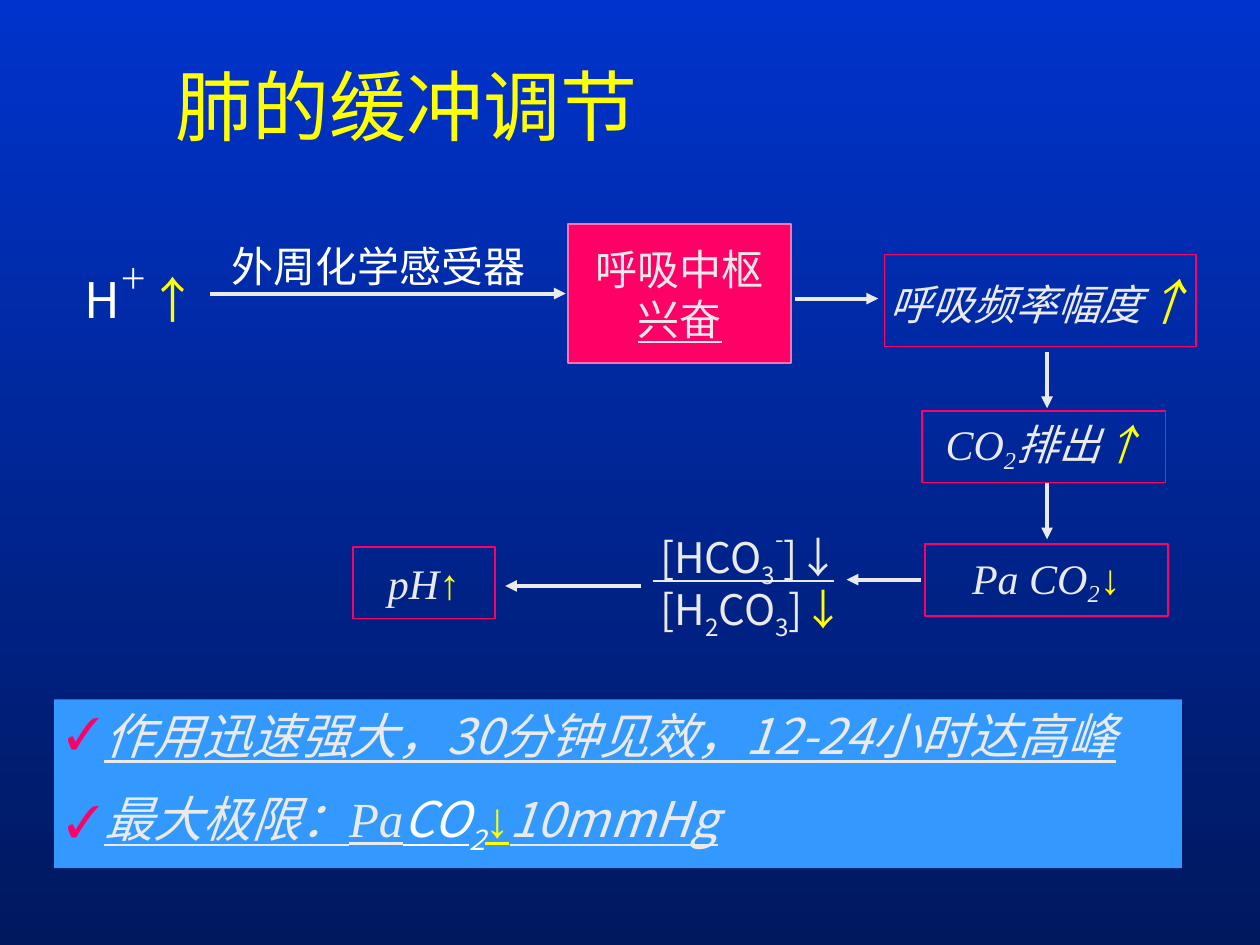
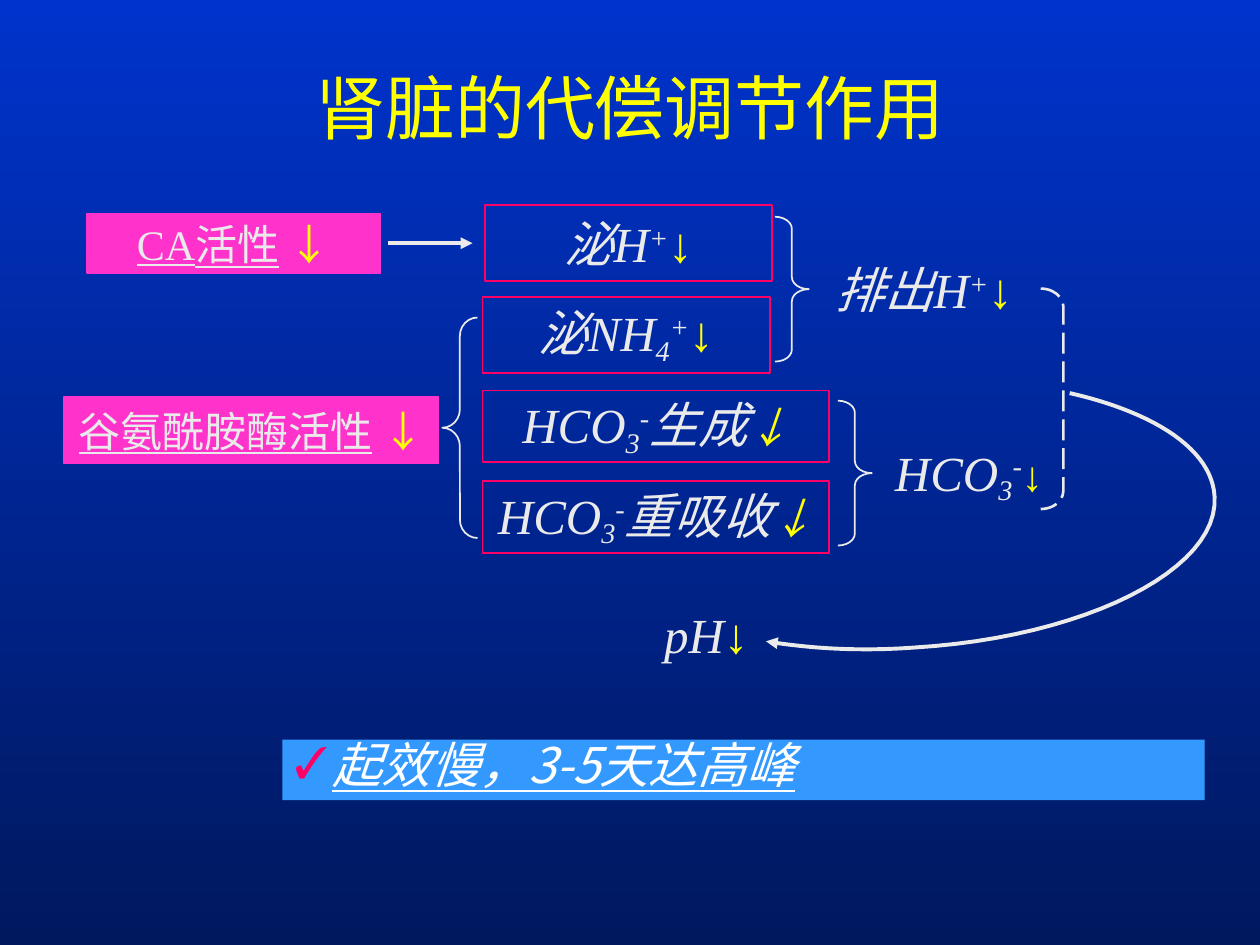
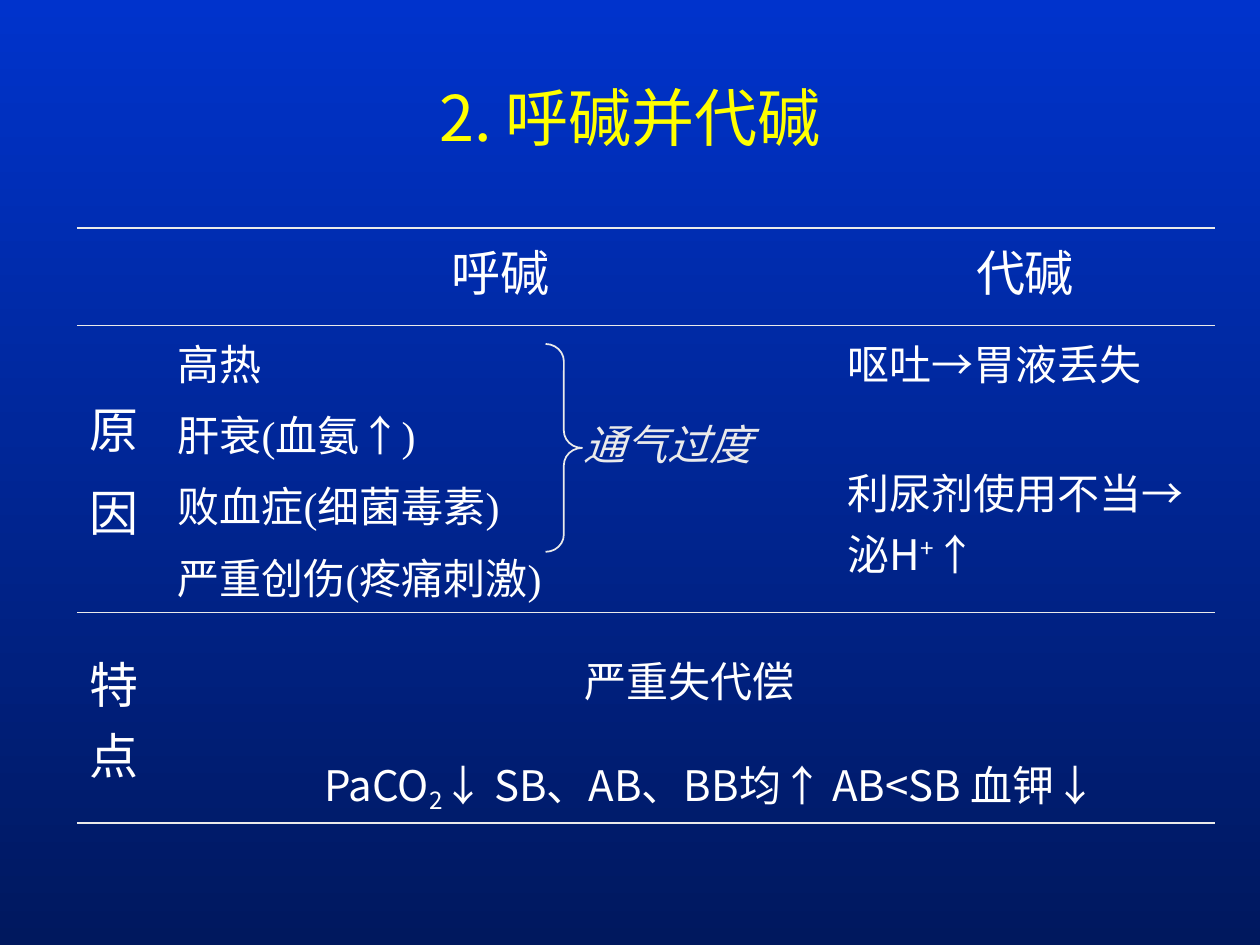
from lxml.etree import SubElement
from pptx import Presentation
from pptx.dml.color import RGBColor
from pptx.enum.dml import MSO_LINE
from pptx.enum.shapes import MSO_CONNECTOR, MSO_SHAPE
from pptx.enum.text import MSO_ANCHOR, PP_ALIGN
from pptx.oxml.ns import qn
from pptx.util import Pt

PX = 9144  # 100 px to the inch
TIMES, NOTO = "Times New Roman", "Noto Sans CJK SC"
YELLOW, PALE, WHITE = "FFFF00", "EAEAEA", "FFFFFF"
RED, ROSE, MAGENTA, SKY = "FF0066", "FF73AC", "FF33CC", "3399FF"
PLAIN_TABLE_STYLE = "{2D5ABB26-0587-4C30-8999-92F81FD0307C}"

hexa = RGBColor.from_string
LEFT, CENTER = PP_ALIGN.LEFT, PP_ALIGN.CENTER
SUB, LOW, SUP, HIGH = ({"base": percent} for percent in (-20, -25, 30, 60))
UP, DOWN = (("↑", {"color": YELLOW}), ("↓", {"color": YELLOW}))
SMALL_DOWN = ("↓", {"color": YELLOW, "size": 24})
LOOK = {"size": 24, "face": TIMES, "color": PALE, "italic": False, "under": False, "base": 0}


def write(frame, lines, align=CENTER, spacing=1.0, before=0, bullet=False, indent=0, **look):
    """Fill a frame with lines of spans; a span is a text or (text, changes to the look).

    The space before and the indent apply from the second line on.
    """
    for number, line in enumerate(lines):
        para = frame.add_paragraph() if number else frame.paragraphs[0]
        properties = para._p.get_or_add_pPr()
        if bullet:
            properties.set("marL", str(30 * PX))
            properties.set("indent", str(-30 * PX))
            SubElement(SubElement(properties, qn("a:buClr")), qn("a:srgbClr"), val=RED)
            SubElement(properties, qn("a:buSzPct"), val="90000")
            SubElement(properties, qn("a:buFont"), typeface=TIMES)
            SubElement(properties, qn("a:buChar"), char="✓")
        elif number and indent:
            properties.set("marL", str(indent * PX))
        para.alignment = align
        para.line_spacing = spacing
        if number and before:
            para.space_before = Pt(before)
        for span in line:
            text, changes = span if isinstance(span, tuple) else (span, {})
            style = LOOK | look | changes
            run = para.add_run()
            run.text = text
            run.font.size = Pt(style["size"])
            run.font.italic = style["italic"]
            run.font.underline = style["under"]
            run.font.color.rgb = hexa(style["color"])
            run.font.name = style["face"]
            run_properties = run._r.get_or_add_rPr()
            SubElement(run_properties, qn("a:ea"), typeface=NOTO)
            if style["base"]:
                run_properties.set("baseline", str(style["base"] * 1000))


def outline(shape, color, width, arrow=False):
    shape.line.color.rgb = hexa(color)
    shape.line.width = Pt(width)
    if arrow:
        SubElement(shape.line._get_or_add_ln(), qn("a:tailEnd"), type="triangle")


deck = Presentation()
deck.slide_width, deck.slide_height = 1000 * PX, 750 * PX

backdrop = deck.slide_master.background.fill
backdrop.gradient()
backdrop.gradient_angle = 270
for stop, color in zip(backdrop.gradient_stops, ("0033CC", "00185E")):
    stop.color.rgb = hexa(color)

# Titles
titles = [
    ("肺的缓冲调节", (83, 42, 479, 83), 44, TIMES),
    ("肾脏的代偿调节作用", (75, 22, 850, 125), 40, TIMES),
    ("2. 呼碱并代碱", (50, 30, 900, 125), 36, NOTO),
]
pages = []
for text, place, size, face in titles:
    page = deck.slides.add_slide(deck.slide_layouts[6])
    box = page.shapes.add_textbox(*(length * PX for length in place))
    box.text_frame.word_wrap = True
    box.text_frame.vertical_anchor = MSO_ANCHOR.MIDDLE
    write(box.text_frame, [[text]], size=size, face=face, color=YELLOW)
    pages.append(page)
lung, kidney, alkalosis = pages

# Table of causes and features
row_heights = (77, 228, 167)
table = alkalosis.shapes.add_table(
    3, 3, 61 * PX, 181 * PX, 903 * PX, sum(row_heights) * PX).table
table._tbl.tblPr.find(qn("a:tableStyleId")).text = PLAIN_TABLE_STYLE
table.first_row = table.horz_banding = False
for column, width in zip(table.columns, (70, 532, 301)):
    column.width = width * PX
for row, height in zip(table.rows, row_heights):
    row.height = height * PX
table.cell(2, 1).merge(table.cell(2, 2))

rules = (1.08, 0.45, 0.45, 1.08)
for row_number, row in enumerate(table.rows):
    for cell in row.cells:
        cell.fill.background()
        cell_properties = cell._tc.get_or_add_tcPr()
        for position, side in enumerate(("lnT", "lnB")):
            edge = SubElement(cell_properties, qn("a:" + side),
                              w=str(Pt(rules[row_number + position])))
            SubElement(SubElement(edge, qn("a:solidFill")), qn("a:srgbClr"), val=PALE)
            cell_properties.insert(position, edge)

heading = {"size": 28, "before": 7}
cells = [
    (0, 1, [["呼碱"]], heading),
    (0, 2, [["代碱"]], heading),
    (1, 0, [["原"], ["因"]], heading | {"align": LEFT}),
    (1, 1, [["高热"], ["肝衰(血氨↑)"], ["败血症(细菌毒素)"], ["严重创伤(疼痛刺激)"]],
     {"align": LEFT, "before": 6}),
    (1, 2, [["呕吐→胃液丢失"],
            ["利尿剂使用不当→泌", ("H", {"face": NOTO}), ("+", SUP | {"face": NOTO}),
             ("↑", {"face": NOTO})]], {"align": LEFT, "before": 39}),
    (2, 0, [["特点"]], heading | {"align": LEFT}),
    (2, 1, [[("严重失代偿", {"face": TIMES})],
            ["PaCO", ("2", SUB), "↓ SB、AB、BB均↑ AB<SB 血钾↓"]],
     {"face": NOTO, "spacing": 1.5, "before": 6, "indent": 33}),
]
for row_number, column_number, lines, options in cells:
    cell = table.cell(row_number, column_number)
    if column_number == 0:
        cell.vertical_anchor = MSO_ANCHOR.MIDDLE
    write(cell.text_frame, lines, color=WHITE, **options)

# Boxes and labels: page, place, fill, line, lines, text options
slanted = {"italic": True}
large = {"italic": True, "size": 28}
ratio = {"align": LEFT, "face": NOTO}
panel = {"align": LEFT, "face": NOTO, "size": 28, "italic": True, "under": True,
         "before": 14, "bullet": True}
enzyme = {"under": True}
gap = (" ", {"under": False})
plain_down = ("↓", {"color": YELLOW, "under": False})
boxes = [
    (lung, (174, 186, 282, 50), None, None, [["外周化学感受器"]],
     {"align": LEFT, "color": WHITE}),
    (lung, (67, 202, 100, 64), None, None, [["H", ("＋", HIGH), UP]],
     {"align": LEFT, "size": 28, "face": NOTO, "color": WHITE}),
    (lung, (451, 178, 177, 110), RED, ROSE, [["呼吸中枢"], [("兴奋", {"under": True})]], {}),
    (lung, (702, 202, 247, 73), None, RED,
     [["呼吸频率幅度", ("↑", {"color": YELLOW, "size": 28})]], slanted),
    (lung, (732, 326, 193, 57), None, RED, [["CO", ("2", SUB), "排出", UP]], slanted),
    (lung, (734, 432, 193, 57), None, RED, [["Pa CO", ("2", SUB), DOWN]], slanted),
    (lung, (280, 434, 113, 57), None, RED, [["pH", UP]], slanted),
    (lung, (524, 458, 153, 56), None, None,
     [["[H", ("2", LOW), "CO", ("3", LOW), "]", DOWN]], ratio),
    (lung, (524, 411, 180, 62), None, None,
     [["[HCO", ("3", LOW), ("-", HIGH), "]↓"]], ratio),
    (lung, (43, 555, 895, 134), SKY, None,
     [["作用迅速强大，30分钟见效，12-24小时达高峰"],
      ["最大极限：", ("Pa", {"face": TIMES}), ("CO", {"color": WHITE}),
       ("2", LOW | {"color": WHITE, "under": False}),
       ("↓", {"face": TIMES, "color": YELLOW}), "10mmHg"]], panel),
    (kidney, (69, 170, 233, 47), MAGENTA, MAGENTA, [["CA活性", gap, plain_down]], enzyme),
    (kidney, (51, 315, 297, 53), MAGENTA, MAGENTA,
     [["谷氨酰胺酶活性", gap, plain_down]], enzyme),
    (kidney, (385, 163, 228, 60), None, RED, [["泌H", ("+", SUP), DOWN]], large),
    (kidney, (383, 236, 228, 60), None, RED,
     [["泌NH", ("4", SUB), ("+", SUP), DOWN]], large),
    (kidney, (383, 310, 275, 57), None, RED,
     [["HCO", ("3", SUB), ("-", SUP), "生成", SMALL_DOWN]], large),
    (kidney, (383, 382, 275, 57), None, RED,
     [["HCO", ("3", SUB), ("-", SUP), "重吸收", SMALL_DOWN]], large),
    (kidney, (633, 198, 201, 63), None, None, [["排出H", ("+", SUP), DOWN]], large),
    (kidney, (688, 348, 162, 57), None, None,
     [["HCO", ("3", SUB), ("-", SUP), SMALL_DOWN]], large),
    (kidney, (447, 467, 227, 73), None, None, [["pH", DOWN]], large),
    (kidney, (224, 587, 732, 48), SKY, None, [["起效慢，3-5天达高峰"]],
     panel | {"color": WHITE, "spacing": 0.8}),
    (alkalosis, (453, 327, 153, 50), None, None, [["通气过度"]], slanted | {"align": LEFT}),
]
top_anchored = ("外周化学感受器", "[HCO", "通气过度")
for page, place, fill, line, lines, options in boxes:
    place = [length * PX for length in place]
    if fill or line:
        box = page.shapes.add_shape(MSO_SHAPE.RECTANGLE, *place)
        box.shadow.inherit = False
        if fill:
            box.fill.solid()
            box.fill.fore_color.rgb = hexa(fill)
        else:
            box.fill.background()
        if line:
            outline(box, line, 1)
        else:
            box.line.fill.background()
    else:
        box = page.shapes.add_textbox(*place)
    frame = box.text_frame
    frame.word_wrap = options.get("align") == LEFT
    at_top = options.get("bullet") or lines[0][0] in top_anchored
    frame.vertical_anchor = MSO_ANCHOR.TOP if at_top else MSO_ANCHOR.MIDDLE
    if options.get("face") == NOTO and not fill:
        frame.margin_left = frame.margin_right = 0
    write(frame, lines, **options)

# Straight arrows and the fraction bar
lines = [
    (lung, (167, 233, 449, 233), True),
    (lung, (631, 237, 697, 237), True),
    (lung, (831, 279, 831, 324), True),
    (lung, (831, 383, 831, 428), True),
    (lung, (731, 460, 672, 460), True),
    (lung, (509, 465, 401, 465), True),
    (lung, (518, 461, 662, 461), False),
    (kidney, (308, 193, 375, 193), True),
]
for page, ends, arrow in lines:
    connector = page.shapes.add_connector(MSO_CONNECTOR.STRAIGHT, *(end * PX for end in ends))
    outline(connector, PALE, 2.25 if arrow else 1, arrow)
    SubElement(connector._element.spPr, qn("a:effectLst"))

# Braces, each with corners a twelfth of its height
braces = [
    (kidney, MSO_SHAPE.LEFT_BRACE, (351, 252, 28, 175)),
    (kidney, MSO_SHAPE.RIGHT_BRACE, (615, 172, 27, 115)),
    (kidney, MSO_SHAPE.RIGHT_BRACE, (665, 318, 27, 115)),
    (kidney, MSO_SHAPE.RIGHT_BRACKET, (826, 229, 18, 175)),
    (alkalosis, MSO_SHAPE.RIGHT_BRACE, (433, 273, 29, 165)),
]
for page, kind, place in braces:
    brace = page.shapes.add_shape(kind, *(length * PX for length in place))
    brace.shadow.inherit = False
    brace.fill.background()
    brace.adjustments[0] = place[3] / 12 / place[2]
    dashed = kind == MSO_SHAPE.RIGHT_BRACKET
    outline(brace, PALE, 1.5 if dashed else 1)
    if dashed:
        brace.line.dash_style = MSO_LINE.LONG_DASH

# Curved arrow to pH, sampled from Bezier pieces
controls = [(849, 312), (919, 328), (962, 358), (964, 394), (968, 452),
            (861, 506), (725, 514), (684, 517), (644, 515), (608, 509)]
STEPS = 24
points = []
for first in range(0, 9, 3):
    for step in range(1, STEPS + 1):
        t = step / STEPS
        weights = ((1 - t) ** 3, 3 * t * (1 - t) ** 2, 3 * t * t * (1 - t), t ** 3)
        points.append(tuple(
            PX * sum(weight * control[axis]
                     for weight, control in zip(weights, controls[first:first + 4]))
            for axis in (0, 1)))
builder = kidney.shapes.build_freeform(*(length * PX for length in controls[0]), scale=1.0)
builder.add_line_segments(points, close=False)
curve = builder.convert_to_shape()
curve.shadow.inherit = False
curve.fill.background()
outline(curve, PALE, 2.25, arrow=True)

deck.save("out.pptx")
